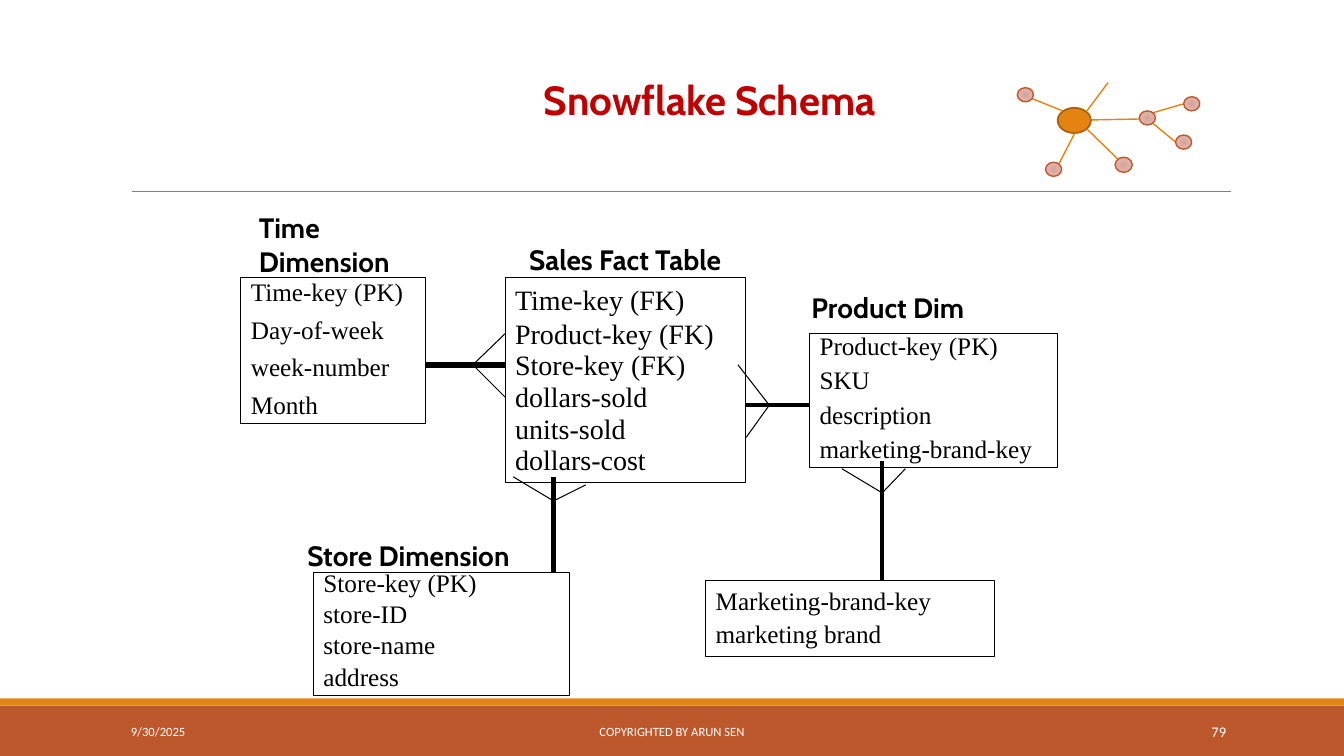
from pptx import Presentation
from pptx.dml.color import RGBColor
from pptx.enum.shapes import MSO_CONNECTOR, MSO_SHAPE
from pptx.enum.text import MSO_ANCHOR, PP_ALIGN
from pptx.oxml import parse_xml
from pptx.oxml.ns import nsdecls, qn
from pptx.util import Inches, Pt

RECTANGLE, ELLIPSE = MSO_SHAPE.RECTANGLE, MSO_SHAPE.OVAL
STRAIGHT = MSO_CONNECTOR.STRAIGHT
TOP, MIDDLE = MSO_ANCHOR.TOP, MSO_ANCHOR.MIDDLE
LEFT, CENTER, RIGHT = PP_ALIGN.LEFT, PP_ALIGN.CENTER, PP_ALIGN.RIGHT

BLACK = RGBColor(0x00, 0x00, 0x00)
WHITE = RGBColor(0xFF, 0xFF, 0xFF)
GRAY = RGBColor(0x80, 0x80, 0x80)
RED = RGBColor(0xC0, 0x00, 0x00)
RUST = RGBColor(0xBD, 0x58, 0x2C)
ORANGE = RGBColor(0xE4, 0x83, 0x12)
BROWN = RGBColor(0xA9, 0x61, 0x0D)
NODE_STOPS = (
    (0, RGBColor(0xD7, 0xA1, 0x97)),
    (45, RGBColor(0xDE, 0xB1, 0xA8)),
    (100, RGBColor(0xE6, 0xB7, 0xAE)),
)

TITLE = {"name": "Cabin", "size": Pt(29), "bold": True, "color": RED}
HEADING = {"name": "Cabin", "size": Pt(20), "bold": True, "color": BLACK}
FACT_FIELD = {"name": "Times New Roman", "size": Pt(20), "color": BLACK}
FIELD = {**FACT_FIELD, "size": Pt(18)}
FOOTER = {"name": "Calibri", "size": Pt(9), "color": WHITE}
PAGE_NUMBER = {**FOOTER, "size": Pt(10.5)}


class SchemaSlide:
    """Draws the elements of a schema diagram on one slide."""

    def __init__(self, slide):
        self.slide = slide

    def fill_text(self, shape, lines, style, align=LEFT, anchor=TOP, spacings=None):
        frame = shape.text_frame
        frame.word_wrap = True
        frame.vertical_anchor = anchor
        for index, line in enumerate(lines):
            paragraph = frame.paragraphs[0] if index == 0 else frame.add_paragraph()
            paragraph.text = line
            paragraph.alignment = align
            if spacings:
                paragraph.line_spacing = spacings[min(index, 1)]
            if index:
                paragraph.space_before = Pt(round(style["size"].pt * 0.53, 1))
            for name, value in style.items():
                if name == "color":
                    paragraph.font.color.rgb = value
                else:
                    setattr(paragraph.font, name, value)

    def text(self, bounds, text, style, align=LEFT, anchor=TOP):
        box = self.slide.shapes.add_textbox(*map(Inches, bounds))
        self.fill_text(box, [text], style, align, anchor)

    def shape(self, kind, bounds, fill=None, line=None, width=0.75):
        shape = self.slide.shapes.add_shape(kind, *map(Inches, bounds))
        shape.shadow.inherit = False
        if fill is None:
            shape.fill.background()
        else:
            shape.fill.solid()
            shape.fill.fore_color.rgb = fill
        if line is None:
            shape.line.fill.background()
        else:
            shape.line.color.rgb = line
            shape.line.width = Pt(width)
        return shape

    def table(self, bounds, fields, style, first_spacing, spacing):
        shape = self.shape(RECTANGLE, bounds, line=BLACK)
        self.fill_text(shape, fields, style, spacings=(first_spacing, spacing))

    def node(self, left, top, width=0.16, height=0.14):
        shape = self.shape(ELLIPSE, (left, top, width, height), RUST, RUST, 1)
        stops = "".join(
            f'<a:gs pos="{position * 1000}"><a:srgbClr val="{color}"/></a:gs>'
            for position, color in NODE_STOPS
        )
        gradient = parse_xml(
            f'<a:gradFill {nsdecls("a")}><a:gsLst>{stops}</a:gsLst><a:path path="circle">'
            '<a:fillToRect l="100000" t="100000" r="100000" b="100000"/>'
            "</a:path></a:gradFill>"
        )
        properties = shape._element.spPr
        properties.replace(properties.find(qn("a:solidFill")), gradient)

    def line(self, start, end, color=BLACK, width=0.75):
        connector = self.slide.shapes.add_connector(STRAIGHT, *map(Inches, (*start, *end)))
        connector.line.color.rgb = color
        connector.line.width = Pt(width)
        connector._element.spPr.append(parse_xml(f'<a:effectLst {nsdecls("a")}/>'))

    def relation(self, start, end, width, apex, toes):
        self.line(start, end, width=width)
        for toe in toes:
            self.line(apex, toe)


def draw_frame(canvas):
    canvas.shape(RECTANGLE, (0, 7, 13.33, 0.5), RUST)
    canvas.shape(RECTANGLE, (0, 6.93, 13.33, 0.07), ORANGE)
    canvas.line((1.31, 1.9), (12.21, 1.9), GRAY, 0.5)
    canvas.text((2.79, 0.36, 8.5, 1.25), "Snowflake Schema", TITLE, CENTER, MIDDLE)
    canvas.text((1.2, 7.06, 2.7, 0.4), "9/30/2025", FOOTER, LEFT, MIDDLE)
    canvas.text((4.03, 7.06, 5.27, 0.4), "COPYRIGHTED BY ARUN SEN", FOOTER, CENTER, MIDDLE)
    canvas.text((10.83, 7.06, 1.43, 0.4), "79", PAGE_NUMBER, RIGHT, MIDDLE)


def draw_snowflake(canvas):
    canvas.shape(ELLIPSE, (10.49, 1.07, 0.33, 0.25), ORANGE, BROWN, 1.25)
    for start, end in (
        ((10.78, 1.1), (10.99, 0.82)),
        ((10.54, 1.1), (10.24, 0.98)),
        ((10.66, 1.32), (10.49, 1.65)),
        ((10.78, 1.28), (11.16, 1.65)),
        ((11.33, 1.18), (10.83, 1.19)),
        ((11.43, 1.12), (11.74, 1.03)),
        ((11.43, 1.22), (11.66, 1.41)),
    ):
        canvas.line(start, end, ORANGE, 1)
    canvas.node(11.06, 1.56, 0.17, 0.15)
    for left, top in ((11.3, 1.1), (10.37, 1.61), (10.09, 0.87), (11.66, 1.34), (11.74, 0.96)):
        canvas.node(left, top)


def draw_schema(canvas):
    for bounds, fields, style, first_spacing, spacing in (
        ((5.01, 2.75, 2.38, 2.04),
         ("Time-key (FK)", "Product-key (FK)", "Store-key (FK)",
          "dollars-sold", "units-sold", "dollars-cost"), FACT_FIELD, 1.0, 0.5),
        ((2.39, 2.75, 1.83, 1.45),
         ("Time-key (PK)", "Day-of-week", "week-number", "Month"), FIELD, 0.8, 0.8),
        ((8.03, 3.31, 2.46, 1.33),
         ("Product-key (PK)", "SKU", "description", "marketing-brand-key"), FIELD, 0.7, 0.7),
        ((3.11, 5.68, 2.54, 1.22),
         ("Store-key (PK)", "store-ID", "store-name", "address"), FIELD, 0.6, 0.6),
        ((7, 5.76, 2.86, 0.75),
         ("Marketing-brand-key", "marketing brand"), FIELD, 1.0, 0.6),
    ):
        canvas.table(bounds, fields, style, first_spacing, spacing)
    for bounds, heading, align in (
        ((4.93, 2.36, 2.54, 0.41), "Sales Fact Table", CENTER),
        ((2.47, 2.04, 1.83, 0.73), "Time Dimension", LEFT),
        ((7.95, 2.83, 2.22, 0.41), "Product Dim", LEFT),
        ((2.95, 5.29, 3.5, 0.41), "Store Dimension", LEFT),
    ):
        canvas.text(bounds, heading, HEADING, align)
    for start, end, width, apex, toes in (
        ((4.22, 3.62), (5.01, 3.62), 4.5, (4.69, 3.62), ((5.01, 3.31), (5.01, 3.94))),
        ((5.49, 5.68), (5.49, 4.73), 3, (5.49, 4.97), ((5.09, 4.73), (5.81, 4.81))),
        ((7.4, 4.02), (8.03, 4.02), 3, (7.63, 4.02), ((7.32, 3.62), (7.4, 4.34))),
        ((8.75, 5.76), (8.75, 4.57), 3, (8.75, 4.89), ((8.35, 4.65), (8.98, 4.65))),
    ):
        canvas.relation(start, end, width, apex, toes)


def main():
    presentation = Presentation()
    presentation.slide_width = Inches(13.33)
    presentation.slide_height = Inches(7.5)
    canvas = SchemaSlide(presentation.slides.add_slide(presentation.slide_layouts[6]))
    draw_frame(canvas)
    draw_snowflake(canvas)
    draw_schema(canvas)
    presentation.save("out.pptx")


if __name__ == "__main__":
    main()
